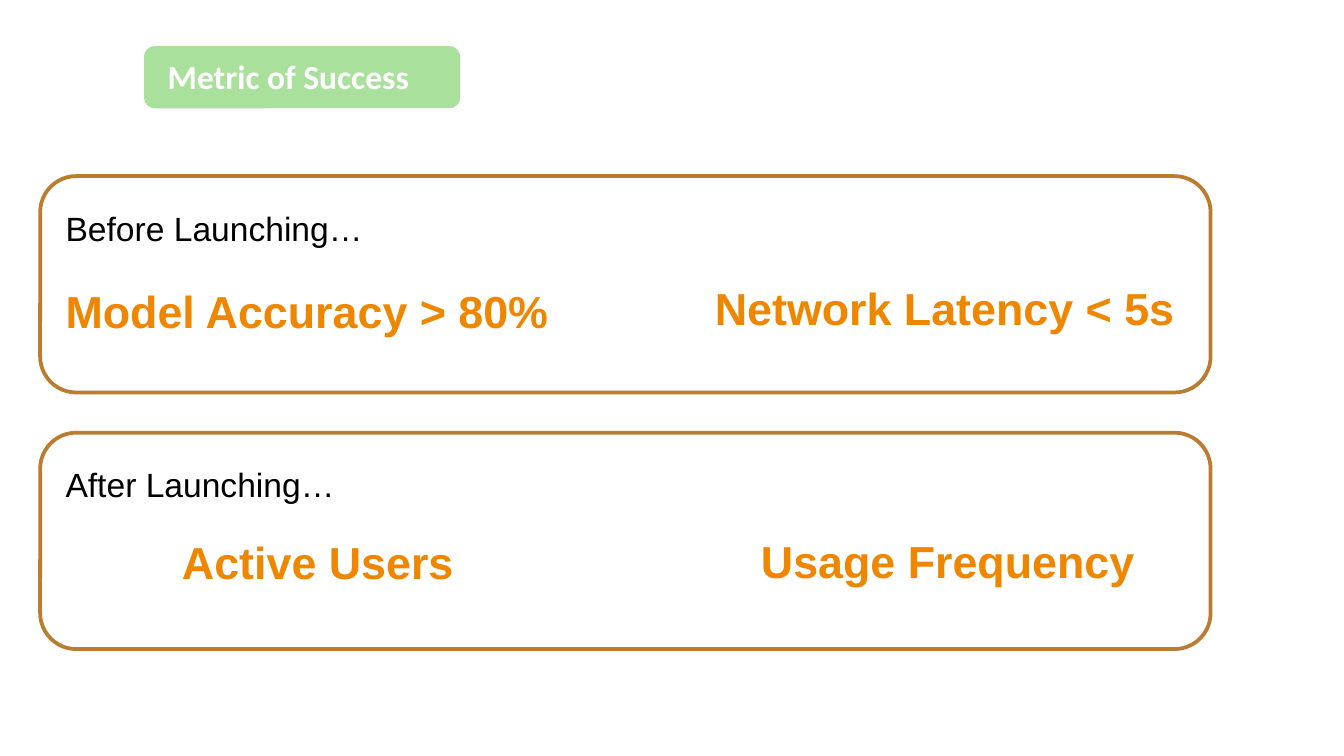
from dataclasses import dataclass

from pptx import Presentation
from pptx.dml.color import RGBColor
from pptx.enum.shapes import MSO_SHAPE
from pptx.enum.text import MSO_AUTO_SIZE, PP_ALIGN
from pptx.slide import Slide
from pptx.util import Cm, Pt

ROUNDED_RECTANGLE = MSO_SHAPE.ROUNDED_RECTANGLE
FIT_SHAPE = MSO_AUTO_SIZE.SHAPE_TO_FIT_TEXT
LEFT = PP_ALIGN.LEFT
CENTER = PP_ALIGN.CENTER

WHITE = RGBColor(0xFF, 0xFF, 0xFF)
BLACK = RGBColor(0x00, 0x00, 0x00)
GREEN = RGBColor(0xA9, 0xE1, 0x9C)
BROWN = RGBColor(0xBA, 0x7C, 0x2E)
ORANGE = RGBColor(0xEF, 0x86, 0x00)

PANEL_LEFT, PANEL_WIDTH, PANEL_HEIGHT = 0.76, 22.12, 4.09
TEXT_LEFT = 0.99
HEADING_OFFSET = 0.47


@dataclass(frozen=True)
class Box:
    """Position and size in centimetres."""
    left: float
    top: float
    width: float
    height: float


@dataclass(frozen=True)
class TextStyle:
    font: str
    size: int
    color: RGBColor
    bold: bool


@dataclass(frozen=True)
class Metric:
    text: str
    left: float
    offset: float  # below the top of its panel
    width: float
    alignment: PP_ALIGN


@dataclass(frozen=True)
class Phase:
    heading: str
    heading_width: float
    top: float
    metrics: tuple[Metric, ...]


TITLE_STYLE = TextStyle("Calibri", 18, WHITE, True)
HEADING_STYLE = TextStyle("Arial", 18, BLACK, False)
METRIC_STYLE = TextStyle("Arial", 24, ORANGE, True)

PHASES = (
    Phase("Before Launching…", 6.17, 3.33, (
        Metric("Model Accuracy > 80%", TEXT_LEFT, 1.9, 9.75, LEFT),
        Metric("Network Latency < 5s", 13.26, 1.85, 9.27, LEFT),
    )),
    Phase("After Launching…", 5.64, 8.18, (
        Metric("Active Users", TEXT_LEFT, 1.8, 10.03, CENTER),
        Metric("Usage Frequency", 13.44, 1.78, 8.94, CENTER),
    )),
)


def add_rounded_box(slide: Slide, box: Box, fill: RGBColor, line: RGBColor,
                    line_width: float) -> None:
    shape = slide.shapes.add_shape(ROUNDED_RECTANGLE, Cm(box.left), Cm(box.top),
                                   Cm(box.width), Cm(box.height))
    shape.shadow.inherit = False
    shape.fill.solid()
    shape.fill.fore_color.rgb = fill
    shape.line.color.rgb = line
    shape.line.width = Pt(line_width)


def add_label(slide: Slide, text: str, box: Box, style: TextStyle,
              alignment: PP_ALIGN = LEFT) -> None:
    shape = slide.shapes.add_textbox(Cm(box.left), Cm(box.top),
                                     Cm(box.width), Cm(box.height))
    frame = shape.text_frame
    frame.word_wrap = True
    frame.auto_size = FIT_SHAPE
    paragraph = frame.paragraphs[0]
    paragraph.alignment = alignment
    run = paragraph.add_run()
    run.text = text
    run.font.name = style.font
    run.font.size = Pt(style.size)
    run.font.bold = style.bold
    run.font.color.rgb = style.color


def add_phase(slide: Slide, phase: Phase) -> None:
    """Draw a panel with its heading and metrics."""
    panel = Box(PANEL_LEFT, phase.top, PANEL_WIDTH, PANEL_HEIGHT)
    add_rounded_box(slide, panel, WHITE, BROWN, 2)
    heading_box = Box(TEXT_LEFT, phase.top + HEADING_OFFSET, phase.heading_width, 1.03)
    add_label(slide, phase.heading, heading_box, HEADING_STYLE)
    for metric in phase.metrics:
        metric_box = Box(metric.left, phase.top + metric.offset, metric.width, 1.28)
        add_label(slide, metric.text, metric_box, METRIC_STYLE, metric.alignment)


def main() -> None:
    presentation = Presentation()
    presentation.slide_width = Cm(25.4)
    presentation.slide_height = Cm(14.29)
    slide = presentation.slides.add_slide(presentation.slide_layouts[6])

    add_rounded_box(slide, Box(2.74, 0.89, 5.94, 1.14), GREEN, GREEN, 1)
    add_label(slide, "Metric of Success", Box(2.92, 0.94, 6.35, 1.03), TITLE_STYLE)
    for phase in PHASES:
        add_phase(slide, phase)

    presentation.save("out.pptx")


if __name__ == "__main__":
    main()
